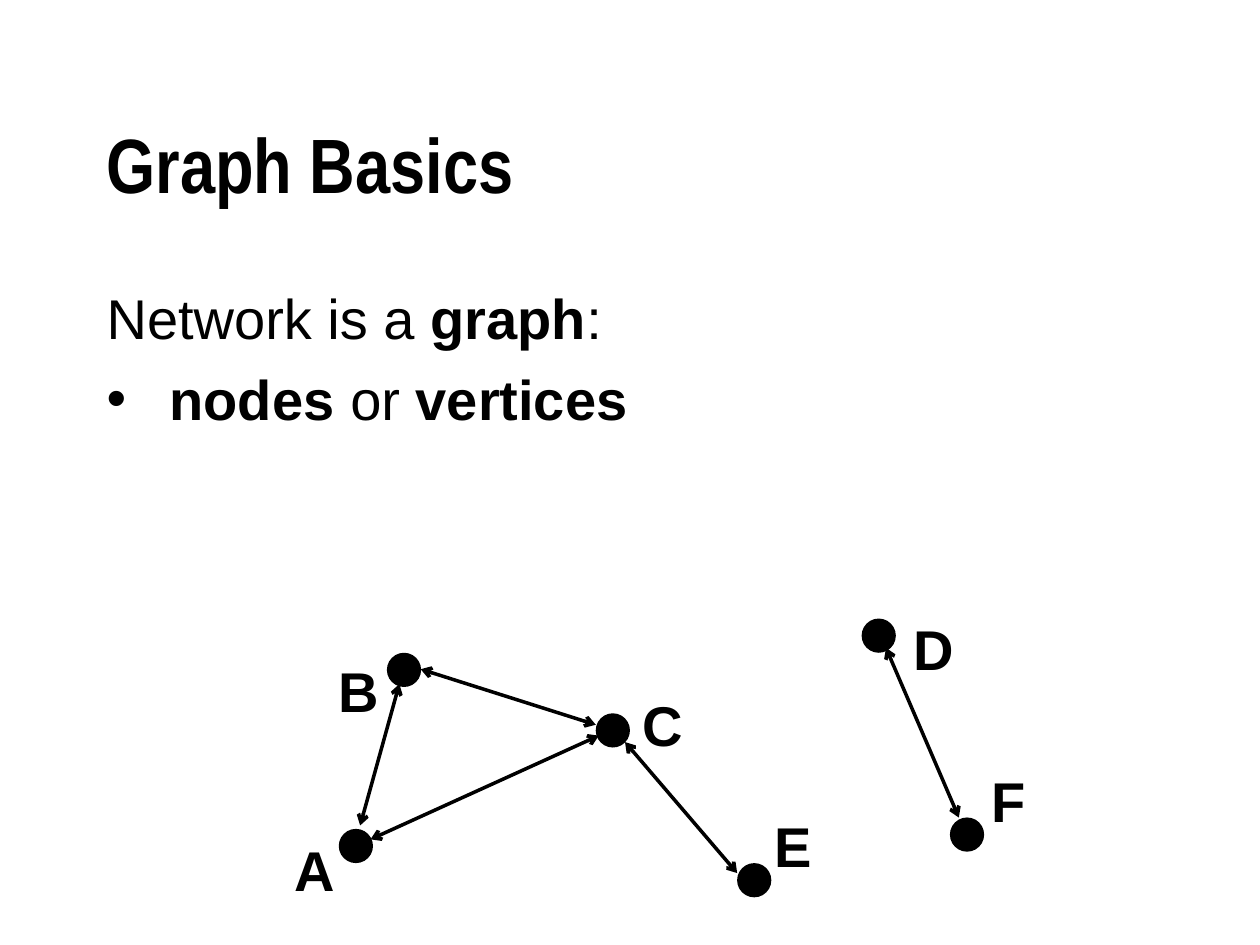
from lxml.etree import SubElement
from pptx import Presentation
from pptx.dml.color import RGBColor
from pptx.enum.shapes import MSO_CONNECTOR, MSO_SHAPE
from pptx.enum.text import MSO_ANCHOR, MSO_AUTO_SIZE
from pptx.oxml.ns import qn
from pptx.util import Cm, Pt

BLACK = RGBColor(0, 0, 0)
NODE_SIZE = 0.69
LABEL_HEIGHT = 1.63

TITLE = "Graph Basics"
BODY = [
    {"runs": [("Network is a ", False), ("graph", True), (":", False)],
     "indent": 0.97, "bullet": None, "before": 0},
    {"runs": [("nodes", True), (" or ", False), ("vertices", True)],
     "indent": 1.27, "bullet": "•", "before": 7.4},
]
# name: node left, node top, label left, label top, label width
NODES = {
    "A": (6.83, 16.71, 5.69, 16.71, 1.35),
    "B": (7.8, 13.16, 6.58, 13.11, 1.32),
    "C": (12.01, 14.38, 12.7, 13.79, 1.32),
    "D": (17.37, 12.47, 18.16, 12.27, 1.35),
    "E": (14.86, 17.4, 15.37, 16.23, 1.27),
    "F": (19.15, 16.48, 19.74, 15.32, 1.22),
}
EDGES = {
    "BC": (8.48, 13.49, 12.01, 14.61),
    "CE": (12.6, 14.96, 14.86, 17.6),
    "BA": (8.05, 13.79, 7.26, 16.64),
    "DF": (17.86, 13.06, 19.33, 16.48),
    "CA": (12.07, 14.83, 7.47, 16.92),
}


def format_run(run, size, bold, face="Arial"):
    run.font.name = face
    run.font.size = Pt(size)
    run.font.bold = bold
    run.font.color.rgb = BLACK


def add_text_frame(slide, left, top, width, height, wrap=True):
    box = slide.shapes.add_textbox(Cm(left), Cm(top), Cm(width), Cm(height))
    box.text_frame.word_wrap = wrap
    return box.text_frame


def add_title(slide):
    title = add_text_frame(slide, 1.9, 1.7, 21.6, 3.18)
    title.vertical_anchor = MSO_ANCHOR.MIDDLE
    title.text = TITLE
    format_run(title.paragraphs[0].runs[0], 44, True, "Arial Narrow")


def add_body(slide):
    body = add_text_frame(slide, 1.9, 5.6, 21.6, 11.43)
    for index, line in enumerate(BODY):
        paragraph = body.add_paragraph() if index else body.paragraphs[0]
        properties = paragraph._p.get_or_add_pPr()
        properties.set("marL", str(Cm(line["indent"])))
        properties.set("indent", str(-Cm(line["indent"])))
        if line["bullet"]:
            SubElement(properties, qn("a:buFont")).set("typeface", "Arial")
            SubElement(properties, qn("a:buChar")).set("char", line["bullet"])
        paragraph.space_before = Pt(line["before"])
        for words, bold in line["runs"]:
            run = paragraph.add_run()
            run.text = words
            format_run(run, 32, bold)


def add_node(slide, name, left, top, label_left, label_top, label_width):
    node = slide.shapes.add_shape(
        MSO_SHAPE.OVAL, Cm(left), Cm(top), Cm(NODE_SIZE), Cm(NODE_SIZE))
    node.shadow.inherit = False
    node.fill.solid()
    node.fill.fore_color.rgb = BLACK
    node.line.fill.background()
    label = add_text_frame(
        slide, label_left, label_top, label_width, LABEL_HEIGHT, wrap=False)
    label.auto_size = MSO_AUTO_SIZE.SHAPE_TO_FIT_TEXT
    label.text = name
    format_run(label.paragraphs[0].runs[0], 32, True)


def add_edge(slide, ends):
    edge = slide.shapes.add_connector(
        MSO_CONNECTOR.STRAIGHT, *[Cm(value) for value in ends])
    edge.line.color.rgb = BLACK
    edge.line.width = Pt(2)
    outline = edge.line._get_or_add_ln()
    for end in ("a:headEnd", "a:tailEnd"):
        SubElement(outline, qn(end)).set("type", "arrow")
    SubElement(edge._element.spPr, qn("a:effectLst"))


def main():
    deck = Presentation()
    deck.slide_width, deck.slide_height = Cm(25.4), Cm(19.05)
    slide = deck.slides.add_slide(deck.slide_layouts[6])
    add_title(slide)
    add_body(slide)
    for name, places in NODES.items():
        add_node(slide, name, *places)
    for ends in EDGES.values():
        add_edge(slide, ends)
    deck.save("out.pptx")


if __name__ == "__main__":
    main()
